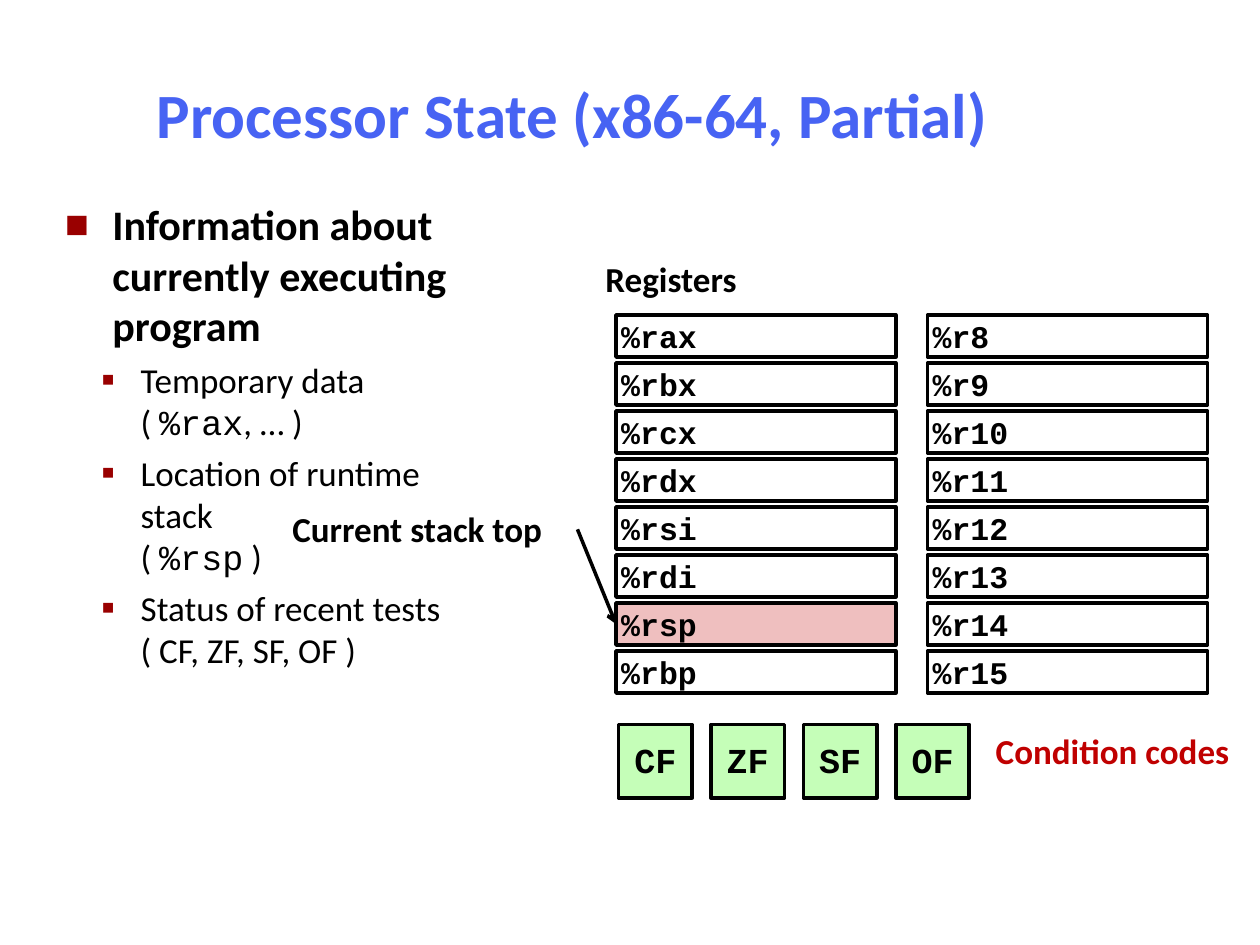
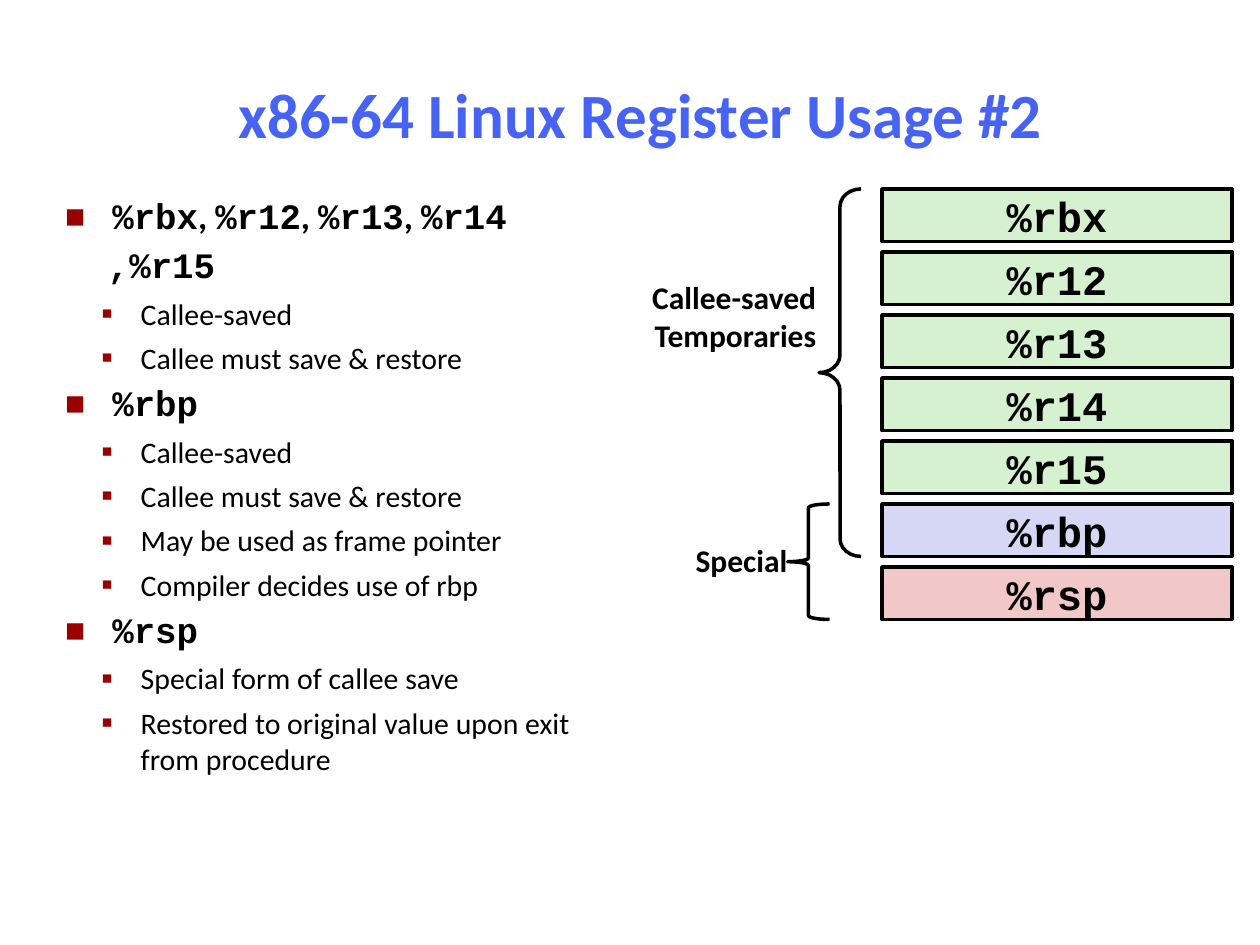
from dataclasses import dataclass
from typing import NamedTuple

from lxml.etree import SubElement
from pptx import Presentation
from pptx.dml.color import RGBColor as RGB
from pptx.enum.shapes import MSO_CONNECTOR as LINK, MSO_SHAPE as SHAPE
from pptx.enum.text import MSO_ANCHOR as ANCHOR, MSO_AUTO_SIZE as FIT, PP_ALIGN as ALIGN
from pptx.oxml.ns import qn
from pptx.util import Pt


# Colours, fonts and type sizes
@dataclass(frozen=True)
class Theme:
    sans: str = "Calibri"
    mono: str = "Courier New"
    ink: str = "000000"
    title: str = "4763F3"
    bullet: str = "990000"
    alert: str = "C00000"
    flag: str = "C5FEB8"
    top: str = "EFBFBF"
    saved: str = "D5F1CF"
    frame: str = "D6D6F5"
    stack: str = "F1C7C7"
    head_size: float = 36
    label_size: float = 20
    note_size: float = 18
    cell_size: float = 18
    slot_size: float = 24
    stroke: float = 2


THEME = Theme()


class Box(NamedTuple):
    left: float
    top: float
    width: float
    height: float

    def lengths(self) -> list:
        return [Pt(side) for side in self]


class Span(NamedTuple):
    text: str
    code: bool = False


class Item(NamedTuple):
    level: int
    spans: list
    marked: bool = True


class Level(NamedTuple):
    mark: str
    scale: int
    margin: float
    hang: float
    before: float
    bold: bool


class Scale(NamedTuple):
    sizes: tuple
    spacing: tuple


class Cell(NamedTuple):
    text: str
    fill: str = ""


class Look(NamedTuple):
    size: float
    align: ALIGN
    inset: float
    spacing: float = 1


class Label(NamedTuple):
    lines: list
    box: Box
    size: float
    align: ALIGN = ALIGN.LEFT
    color: str = THEME.ink


LEVELS = (
    Level("■", 60, 27, 27, 6, True),
    Level("▪", 110, 43.2, 22.5, 5, False),
)
ROOMY = Scale((24, 20), (1, 1))
DENSE = Scale((20.4, 17), (0.9, 1))
BARE_MARGIN = 24.5
REG = Look(THEME.cell_size, ALIGN.LEFT, 3)
FLAG = Look(THEME.label_size, ALIGN.CENTER, 3, 0.95)
SLOT = Look(THEME.slot_size, ALIGN.CENTER, 0)


# Text
def add_run(para, text: str, size: float, color: str = THEME.ink,
            bold: bool = True, code: bool = False) -> None:
    run = para.add_run()
    run.text = text
    font = run.font
    font.name = THEME.mono if code else THEME.sans
    font.size, font.bold = Pt(size), bold
    font.color.rgb = RGB.from_string(color)


def set_frame(frame, inset: float, anchor: ANCHOR) -> None:
    frame.word_wrap, frame.auto_size = True, FIT.NONE
    frame.vertical_anchor = anchor
    frame.margin_left = frame.margin_right = Pt(inset)
    frame.margin_top = frame.margin_bottom = Pt(inset)


def set_bullet(para, item: Item) -> None:
    level = LEVELS[item.level]
    props = para._p.get_or_add_pPr()
    margin, hang = (level.margin, level.hang) if item.marked else (BARE_MARGIN, 0)
    props.set("marL", str(Pt(margin)))
    props.set("indent", str(-Pt(hang)))
    if not item.marked:
        SubElement(props, qn("a:buNone"))
        return
    color = SubElement(props, qn("a:buClr"))
    SubElement(color, qn("a:srgbClr"), val=THEME.bullet)
    SubElement(props, qn("a:buSzPct"), val=str(level.scale * 1000))
    SubElement(props, qn("a:buFont"), typeface=THEME.sans)
    SubElement(props, qn("a:buChar"), char=level.mark)


def add_page(deck, title: str, head: Box, body: Box, items: list, scale: Scale):
    slide = deck.slides.add_slide(deck.slide_layouts[1])
    shape, text = slide.shapes.title, slide.placeholders[1]
    for holder, box in ((shape, head), (text, body)):
        holder.left, holder.top, holder.width, holder.height = box.lengths()
        holder.text_frame.auto_size = FIT.NONE
    shape.text_frame.vertical_anchor = ANCHOR.MIDDLE
    para = shape.text_frame.paragraphs[0]
    para.alignment = ALIGN.CENTER
    add_run(para, title, THEME.head_size, THEME.title)

    frame = text.text_frame
    for index, item in enumerate(items):
        para = frame.add_paragraph() if index else frame.paragraphs[0]
        level = LEVELS[item.level]
        para.level = item.level
        set_bullet(para, item)
        para.line_spacing = scale.spacing[item.level]
        para.space_before = Pt(level.before if index else 0)
        for span in item.spans:
            for row, part in enumerate(span.text.split("\n")):
                if row:
                    para.add_line_break()
                add_run(para, part, scale.sizes[item.level],
                        bold=level.bold, code=span.code)
    return slide


def add_label(slide, label: Label) -> None:
    frame = slide.shapes.add_textbox(*label.box.lengths()).text_frame
    set_frame(frame, 3, ANCHOR.TOP)
    for index, line in enumerate(label.lines):
        para = frame.add_paragraph() if index else frame.paragraphs[0]
        para.alignment = label.align
        add_run(para, line, label.size, label.color)


# Shapes
def set_line(shape) -> None:
    shape.line.color.rgb = RGB.from_string(THEME.ink)
    shape.line.width = Pt(THEME.stroke)


def add_cell(slide, cell: Cell, box: Box, look: Look):
    shape = slide.shapes.add_shape(SHAPE.RECTANGLE, *box.lengths())
    shape.shadow.inherit = False
    set_line(shape)
    if cell.fill:
        shape.fill.solid()
        shape.fill.fore_color.rgb = RGB.from_string(cell.fill)
    else:
        shape.fill.background()
    set_frame(shape.text_frame, look.inset, ANCHOR.MIDDLE)
    para = shape.text_frame.paragraphs[0]
    para.alignment, para.line_spacing = look.align, look.spacing
    add_run(para, cell.text, look.size, code=True)
    return shape


def add_cells(slide, cells: list, first: Box, look: Look,
              across: float = 0, down: float = 0) -> list:
    return [
        add_cell(slide, cell, first._replace(left=first.left + i * across,
                                             top=first.top + i * down), look)
        for i, cell in enumerate(cells)
    ]


def add_brace(slide, box: Box, curve: float) -> None:
    brace = slide.shapes.add_shape(SHAPE.LEFT_BRACE, *box.lengths())
    brace.shadow.inherit = False
    brace.fill.background()
    brace.adjustments[0] = curve
    set_line(brace)


def add_arrow(slide, left: float, top: float, target) -> None:
    arrow = slide.shapes.add_connector(LINK.STRAIGHT, Pt(left), Pt(top), Pt(left), Pt(top))
    arrow.end_connect(target, 1)
    set_line(arrow)
    SubElement(arrow.line._get_or_add_ln(), qn("a:tailEnd"), type="arrow")
    SubElement(arrow._element.spPr, qn("a:effectLst"))


# Slide 1: registers, stack top and condition codes
def add_state(deck) -> None:
    items = [
        Item(0, [Span("Information about currently executing program")]),
        Item(1, [Span("Temporary data\n( "), Span("%rax", True), Span(", … )")]),
        Item(1, [Span("Location of runtime stack\n( "), Span("%rsp", True), Span(" )")]),
        Item(1, [Span("Status of recent tests\n( CF, ZF, SF, OF )")]),
    ]
    slide = add_page(deck, "Processor State (x86-64, Partial)",
                     Box(28, 34.5, 598, 60), Box(30, 110, 263, 428), items, ROOMY)
    for label in (
        Label(["Registers"], Box(343, 144, 99, 30), THEME.label_size),
        Label(["Current stack top"], Box(164, 287.3, 181.5, 30), THEME.label_size),
        Label(["Condition codes"], Box(566, 414, 142, 35), THEME.label_size,
              color=THEME.alert),
    ):
        add_label(slide, label)

    names = ("rax", "rbx", "rcx", "rdx", "rsi", "rdi", "rsp", "rbp")
    named = [Cell(f"%{name}", THEME.top if name == "rsp" else "") for name in names]
    extra = [Cell(f"%r{number}") for number in range(8, 16)]
    first = Box(352, 180, 160, 24)
    regs = add_cells(slide, named, first, REG, down=27.43)
    add_cells(slide, extra, first._replace(left=530), REG, down=27.43)
    flags = [Cell(name, THEME.flag) for name in ("CF", "ZF", "SF", "OF")]
    add_cells(slide, flags, Box(353.5, 414, 42, 42), FLAG, across=52.8)
    add_arrow(slide, 330, 302.5, regs[names.index("rsp")])


# Slide 2: callee-saved and special registers
def add_usage(deck) -> None:
    comma = Span(", ")
    kept = [Item(1, [Span("Callee-saved")]), Item(1, [Span("Callee must save & restore")])]
    items = [
        Item(0, [Span("%rbx", True), comma, Span("%r12", True), comma,
                 Span("%r13", True), comma, Span("%r14", True)]),
        Item(0, [Span(",%r15", True)], marked=False),
        *kept,
        Item(0, [Span("%rbp", True)]),
        *kept,
        Item(1, [Span("May be used as frame pointer")]),
        Item(1, [Span("Compiler decides use of rbp")]),
        Item(0, [Span("%rsp", True)]),
        Item(1, [Span("Special form of callee save")]),
        Item(1, [Span("Restored to original value upon exit from procedure")]),
    ]
    slide = add_page(deck, "x86-64 Linux Register Usage #2",
                     Box(114, 20, 504, 90), Box(30, 110, 320, 346), items, DENSE)
    saved = [Cell(f"%{name}", THEME.saved) for name in ("rbx", "r12", "r13", "r14", "r15")]
    slots = [*saved, Cell("%rbp", THEME.frame), Cell("%rsp", THEME.stack)]
    add_cells(slide, slots, Box(504, 108, 200, 30), SLOT, down=36)
    add_brace(slide, Box(468, 108, 24, 210), 0.42)
    add_brace(slide, Box(450, 288, 24, 66), 0.09)
    for label in (
        Label(["Callee-saved", "Temporaries"], Box(350, 156, 119.5, 49),
              THEME.note_size, ALIGN.RIGHT),
        Label(["Special"], Box(384, 306, 69, 27), THEME.note_size, ALIGN.RIGHT),
    ):
        add_label(slide, label)


def main() -> None:
    deck = Presentation()
    deck.slide_width, deck.slide_height = Pt(720), Pt(540)
    add_state(deck)
    add_usage(deck)
    deck.save("out.pptx")


if __name__ == "__main__":
    main()
